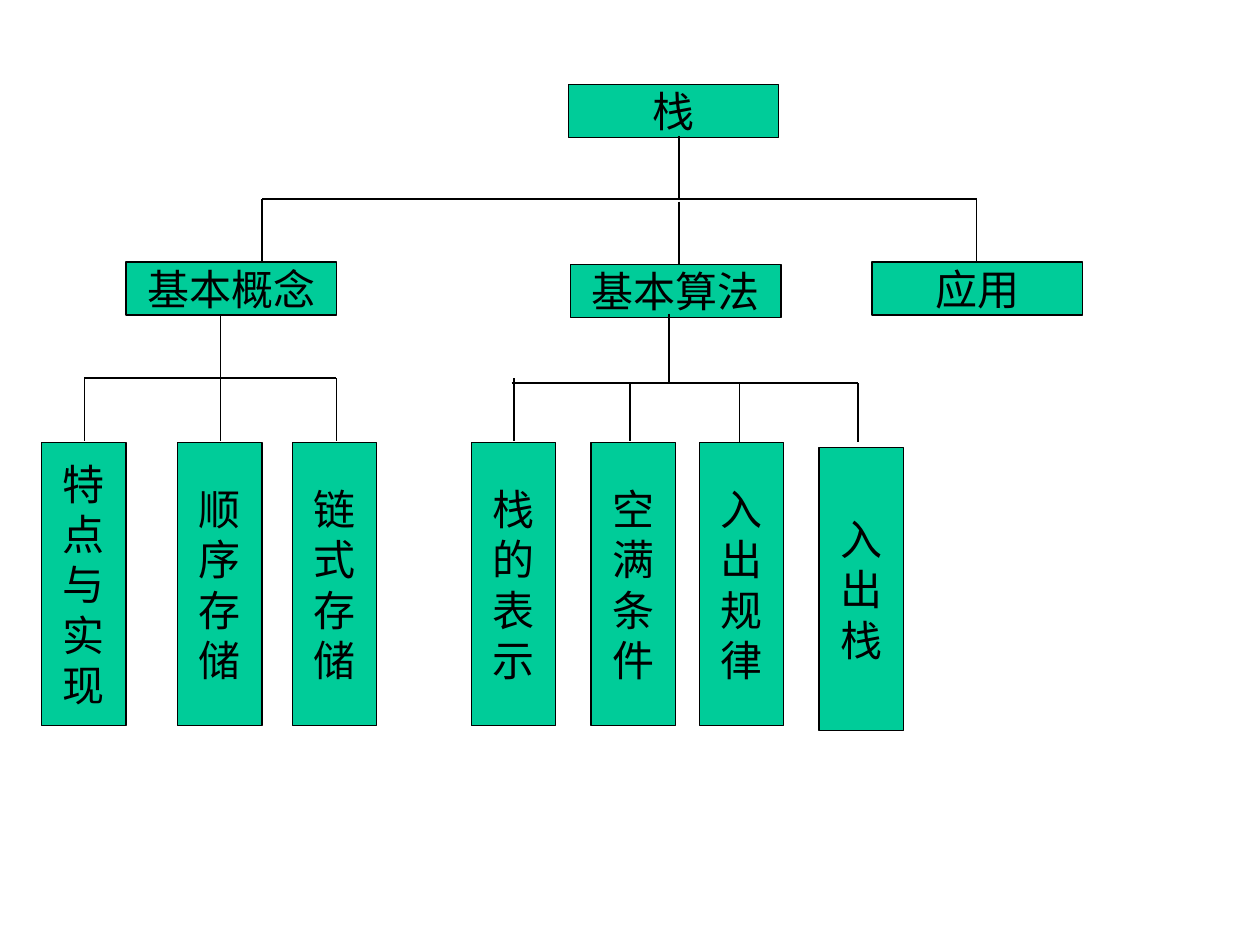
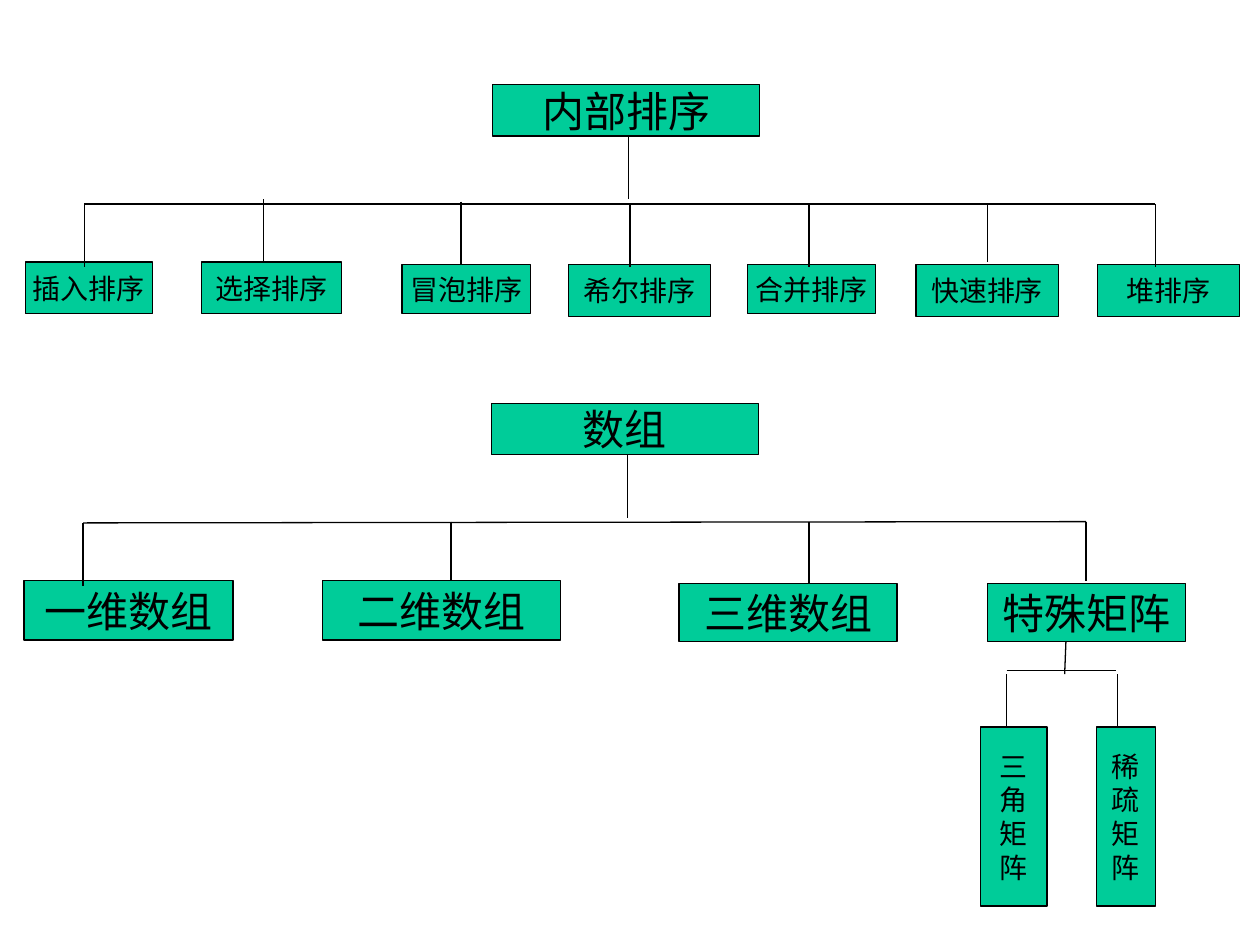
from lxml.etree import SubElement
from pptx import Presentation
from pptx.dml.color import RGBColor
from pptx.enum.shapes import MSO_CONNECTOR as Connector, MSO_SHAPE as Shape
from pptx.enum.text import MSO_ANCHOR as Anchor, PP_ALIGN as Align
from pptx.oxml.ns import qn
from pptx.util import Inches, Pt

FILL = "00CC99"
INK = "000000"
FONT = "Times New Roman"


def color(value):
    """Turn a hex string into a colour."""
    return RGBColor.from_string(value)


class TreeDeck:
    """Hold the deck, its current page and the style of tree diagrams."""

    def __init__(self):
        """Start a 10 by 7.5 inch deck."""
        self.deck = Presentation()
        self.deck.slide_width = Inches(10)
        self.deck.slide_height = Inches(7.5)
        self.page = None

    def add_page(self):
        """Add a blank page and make it current."""
        self.page = self.deck.slides.add_slide(self.deck.slide_layouts[6])

    def box(self, text, left, top, width, height, size=24):
        """Draw a node with one paragraph for each line of text."""
        box = self.page.shapes.add_shape(
            Shape.RECTANGLE, Inches(left), Inches(top), Inches(width), Inches(height))
        box.shadow.inherit = False
        box.fill.solid()
        box.fill.fore_color.rgb = color(FILL)
        box.line.color.rgb = color(INK)
        box.line.width = Pt(0.75)
        frame = box.text_frame
        frame.word_wrap = False
        frame.vertical_anchor = Anchor.MIDDLE
        frame.text = text
        for para in frame.paragraphs:
            para.alignment = Align.CENTER
            para.font.name = FONT
            para.font.size = Pt(size)
            para.font.color.rgb = color(INK)

    def column(self, text, left, top, width, height, size=24):
        """Draw a tall node whose characters stand one below the other."""
        self.box("\n".join(text), left, top, width, height, size)

    def line(self, x1, y1, x2, y2):
        """Draw a thin straight line."""
        line = self.page.shapes.add_connector(
            Connector.STRAIGHT, Inches(x1), Inches(y1), Inches(x2), Inches(y2))
        line.line.color.rgb = color(INK)
        line.line.width = Pt(0.75)
        SubElement(line._element.spPr, qn("a:effectLst"))

    def fork(self, trunk, bar, drops):
        """Draw a trunk, a crossbar and drops given as x, top and bottom."""
        self.line(*trunk)
        self.line(*bar)
        for x, top, bottom in drops:
            self.line(x, top, x, bottom)

    def save(self):
        """Write the deck."""
        self.deck.save("out.pptx")


def stack_page(tree):
    """Build the tree of stack topics."""
    tree.add_page()
    for text, left, top in (("栈", 4.51, 0.67), ("基本概念", 1, 2.08),
                            ("基本算法", 4.53, 2.1), ("应用", 6.92, 2.08)):
        tree.box(text, left, top, 1.67, 0.42)
    for text, left, top in (
            ("特点与实现", 0.33, 3.51), ("顺序存储", 1.41, 3.51), ("链式存储", 2.32, 3.51),
            ("栈的表示", 3.74, 3.51), ("空满条件", 4.69, 3.51), ("入出规律", 5.55, 3.51),
            ("入出栈", 6.5, 3.55)):
        tree.column(text, left, top, 0.67, 2.25)
    tree.fork((5.39, 1.08, 5.39, 1.58), (2.08, 1.58, 7.75, 1.58),
              [(2.08, 1.58, 2.08), (5.39, 1.6, 2.1), (7.75, 1.58, 2.08)])
    tree.fork((1.75, 2.5, 1.75, 3), (0.67, 3, 2.67, 3),
              [(x, 3, 3.5) for x in (0.67, 1.75, 2.67)])
    tree.fork((5.31, 2.49, 5.31, 3.04), (4.06, 3.04, 6.81, 3.04),
              [(4.08, 3, 3.5), (5, 3.04, 3.5), (5.87, 3.04, 3.51), (6.81, 3.04, 3.51)])


def sorting_and_array_page(tree):
    """Build the trees of sorting methods and of arrays."""
    tree.add_page()
    tree.box("内部排序", 3.91, 0.67, 2.12, 0.41)
    for text, left, top, width, height in (
            ("插入排序", 0.2, 2.08, 1.01, 0.41), ("选择排序", 1.6, 2.08, 1.11, 0.41),
            ("冒泡排序", 3.19, 2.1, 1.02, 0.39), ("希尔排序", 4.51, 2.1, 1.13, 0.41),
            ("合并排序", 5.93, 2.1, 1.02, 0.39), ("快速排序", 7.27, 2.1, 1.13, 0.41),
            ("堆排序", 8.71, 2.1, 1.13, 0.41)):
        tree.box(text, left, top, width, height, 16)
    tree.fork((4.99, 1.08, 4.99, 1.58), (0.67, 1.62, 9.17, 1.62),
              [(0.67, 1.62, 2.12), (2.09, 1.58, 2.08), (3.66, 1.6, 2.1), (5, 1.62, 2.12),
               (6.42, 1.62, 2.12), (7.84, 1.62, 2.08), (9.17, 1.62, 2.12)])

    tree.box("数组", 3.9, 3.2, 2.12, 0.41)
    for text, left, top, width, height in (
            ("一维数组", 0.19, 4.61, 1.66, 0.47), ("二维数组", 2.56, 4.61, 1.89, 0.47),
            ("三维数组", 5.39, 4.63, 1.73, 0.46), ("特殊矩阵", 7.84, 4.63, 1.57, 0.46)):
        tree.box(text, left, top, width, height)
    tree.fork((4.98, 3.61, 4.98, 4.11), (0.66, 4.15, 8.62, 4.14),
              [(0.66, 4.15, 4.65), (3.58, 4.14, 4.61), (6.42, 4.14, 4.63),
               (8.62, 4.14, 4.61)])

    tree.column("三角矩阵", 7.78, 5.77, 0.53, 1.42, 16)
    tree.column("稀疏矩阵", 8.7, 5.77, 0.47, 1.42, 16)
    tree.fork((8.46, 5.09, 8.45, 5.35), (7.99, 5.32, 8.86, 5.32),
              [(x, 5.35, 5.77) for x in (7.99, 8.87)])


def main():
    """Build and save both pages."""
    tree = TreeDeck()
    stack_page(tree)
    sorting_and_array_page(tree)
    tree.save()


if __name__ == "__main__":
    main()
